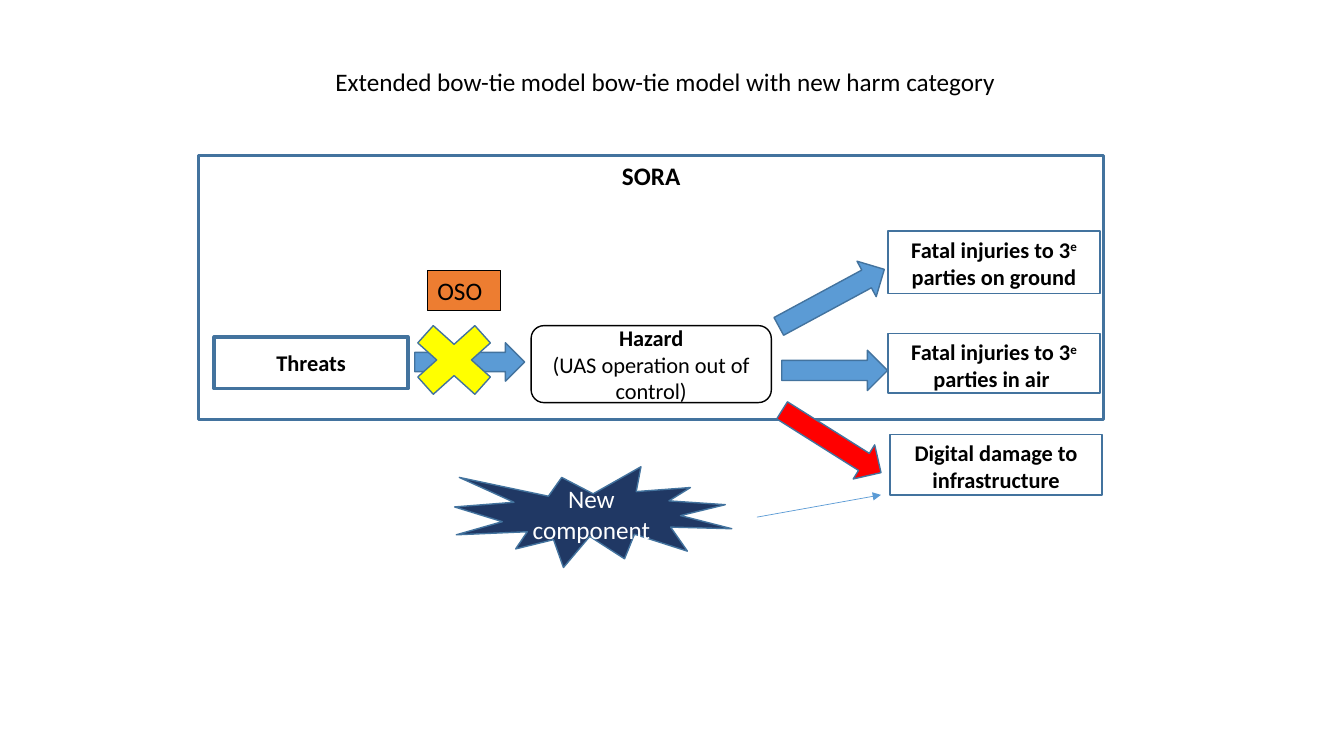
"""Build the extended bow-tie model slide."""
from dataclasses import dataclass

from lxml.etree import SubElement
from pptx import Presentation
from pptx.dml.color import RGBColor as Color
from pptx.enum.shapes import MSO_CONNECTOR as Connector, MSO_SHAPE as Preset
from pptx.enum.text import MSO_ANCHOR as Anchor, MSO_AUTO_SIZE as AutoSize, PP_ALIGN as Align
from pptx.oxml.ns import qn
from pptx.slide import Slide
from pptx.text.text import TextFrame
from pptx.util import Pt


@dataclass(frozen=True)
class Theme:
    """Colours, font and type sizes of the slide."""
    font: str = "Calibri"
    label_size: float = 16
    heading_size: float = 18
    black: str = "000000"
    white: str = "FFFFFF"
    outline: str = "43739E"
    blue: str = "5B9BD5"
    navy: str = "203864"
    orange: str = "ED7D31"
    yellow: str = "FFFF00"
    red: str = "FF0000"


THEME = Theme()


@dataclass(frozen=True)
class Span:
    """A run of text with its weight and baseline."""
    text: str
    bold: bool = True
    raised: bool = False


@dataclass(frozen=True)
class Node:
    """A preset shape with optional text, in points."""
    left: float
    top: float
    width: float
    height: float
    paragraphs: tuple[tuple[Span, ...], ...] = ()
    preset: Preset = Preset.RECTANGLE
    fill: str = ""
    line: str = THEME.outline
    weight: float = 1
    rotation: float = 0
    size: float = THEME.label_size
    ink: str = THEME.black
    align: Align = Align.CENTER
    anchor: Anchor = Anchor.TOP


def write(frame: TextFrame, paragraphs: tuple[tuple[Span, ...], ...],
          size: float, ink: str, align: Align) -> None:
    """Fill a text frame with formatted paragraphs."""
    frame.text = "\n".join(spans[0].text for spans in paragraphs)
    for para, spans in zip(frame.paragraphs, paragraphs):
        para.alignment = align
        for span in spans[1:]:
            para.add_run().text = span.text
        for run, span in zip(para.runs, spans):
            run.font.name = THEME.font
            run.font.size = Pt(size)
            run.font.bold = span.bold
            run.font.color.rgb = Color.from_string(ink)
            if span.raised:
                run._r.get_or_add_rPr().set("baseline", "30000")


def draw_node(page: Slide, node: Node) -> None:
    """Draw one shape and its text."""
    shape = page.shapes.add_shape(node.preset, Pt(node.left), Pt(node.top),
                                  Pt(node.width), Pt(node.height))
    shape.shadow.inherit = False
    shape.rotation = node.rotation
    if node.fill:
        shape.fill.solid()
        shape.fill.fore_color.rgb = Color.from_string(node.fill)
    else:
        shape.fill.background()
    shape.line.color.rgb = Color.from_string(node.line)
    shape.line.width = Pt(node.weight)
    if node.paragraphs:
        shape.text_frame.word_wrap = True
        shape.text_frame.vertical_anchor = node.anchor
        write(shape.text_frame, node.paragraphs, node.size, node.ink, node.align)


def draw_pointer(page: Slide, start: tuple[float, float], end: tuple[float, float]) -> None:
    """Draw a thin line ending in an arrowhead."""
    pointer = page.shapes.add_connector(Connector.STRAIGHT, *map(Pt, start + end))
    pointer.line.color.rgb = Color.from_string(THEME.blue)
    pointer.line.width = Pt(0.5)
    properties = pointer._element.spPr
    SubElement(properties.find(qn("a:ln")), qn("a:tailEnd"), type="triangle")
    SubElement(properties, qn("a:effectLst"))


def draw_title(page: Slide, text: str) -> None:
    """Draw the unwrapped title."""
    box = page.shapes.add_textbox(Pt(232.5), Pt(44), Pt(492.5), Pt(29))
    box.text_frame.word_wrap = False
    box.text_frame.auto_size = AutoSize.SHAPE_TO_FIT_TEXT
    write(box.text_frame, ((Span(text, bold=False),),), THEME.heading_size,
          THEME.black, Align.LEFT)


def arrow(left: float, top: float, width: float, height: float,
          rotation: float, fill: str = THEME.blue) -> Node:
    """Describe a turned block arrow."""
    return Node(left, top, width, height, preset=Preset.DOWN_ARROW,
                rotation=rotation, fill=fill)


def injury(top: float, height: float, ending: str) -> Node:
    """Describe a fatal injury outcome."""
    return Node(634.3, top, 151.4, height,
                ((Span("Fatal injuries to 3"), Span("e", raised=True), Span(ending)),))


NODES = (
    Node(152.9, 240.7, 138.6, 37, ((Span("Threats"),),), weight=2.25, anchor=Anchor.MIDDLE),
    Node(379.4, 232.6, 171.6, 55,
         ((Span("Hazard"),), (Span("(UAS operation out of control)", bold=False),)),
         preset=Preset.ROUNDED_RECTANGLE, line=THEME.black, anchor=Anchor.MIDDLE),
    injury(165, 44.6, " parties on ground"),
    arrow(321.8, 219.3, 27.4, 78.5, 270),
    Node(141.8, 111, 646.6, 188.6, ((Span("SORA"),),), weight=2.25, size=THEME.heading_size),
    Node(305.3, 193, 52.6, 29, ((Span("OSO", bold=False),),), fill=THEME.orange,
         line=THEME.black, weight=0.75, size=THEME.heading_size, align=Align.LEFT),
    Node(285.1, 221.8, 78.5, 70.6, preset=Preset.MATH_MULTIPLY, fill=THEME.yellow),
    Node(324.7, 333.4, 198, 72, ((Span("New", bold=False),), (Span("component", bold=False),)),
         preset=Preset.EXPLOSION1, fill=THEME.navy, size=THEME.heading_size,
         ink=THEME.white, anchor=Anchor.MIDDLE),
    injury(238.3, 42.5, " parties in air "),
    Node(635.8, 310.3, 151.4, 43.2, ((Span("Digital damage to infrastructure"),),)),
    arrow(579.6, 169.9, 28.8, 85.7, 241.6),
    arrow(581.8, 226.8, 28.8, 75.6, 270),
    arrow(579.6, 273.6, 28.8, 83.5, 302.2, THEME.red),
)


def main() -> None:
    """Assemble and save the deck."""
    deck = Presentation()
    deck.slide_width, deck.slide_height = Pt(960), Pt(540)
    page = deck.slides.add_slide(deck.slide_layouts[6])
    for node in NODES:
        draw_node(page, node)
    draw_pointer(page, (540.7, 369.4), (629.3, 353.5))
    draw_title(page, "Extended bow-tie model bow-tie model with new harm category")
    deck.save("out.pptx")


if __name__ == "__main__":
    main()
